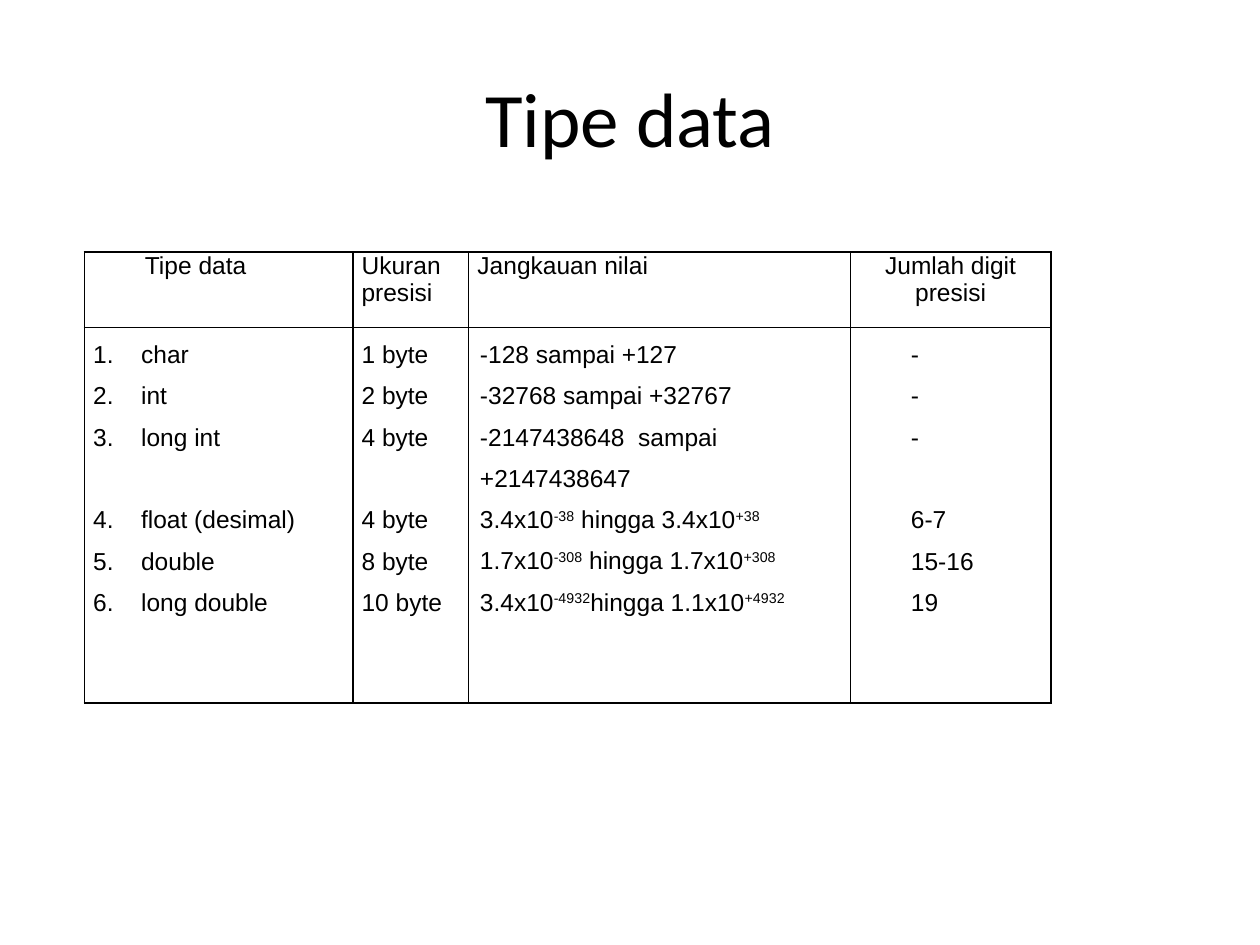
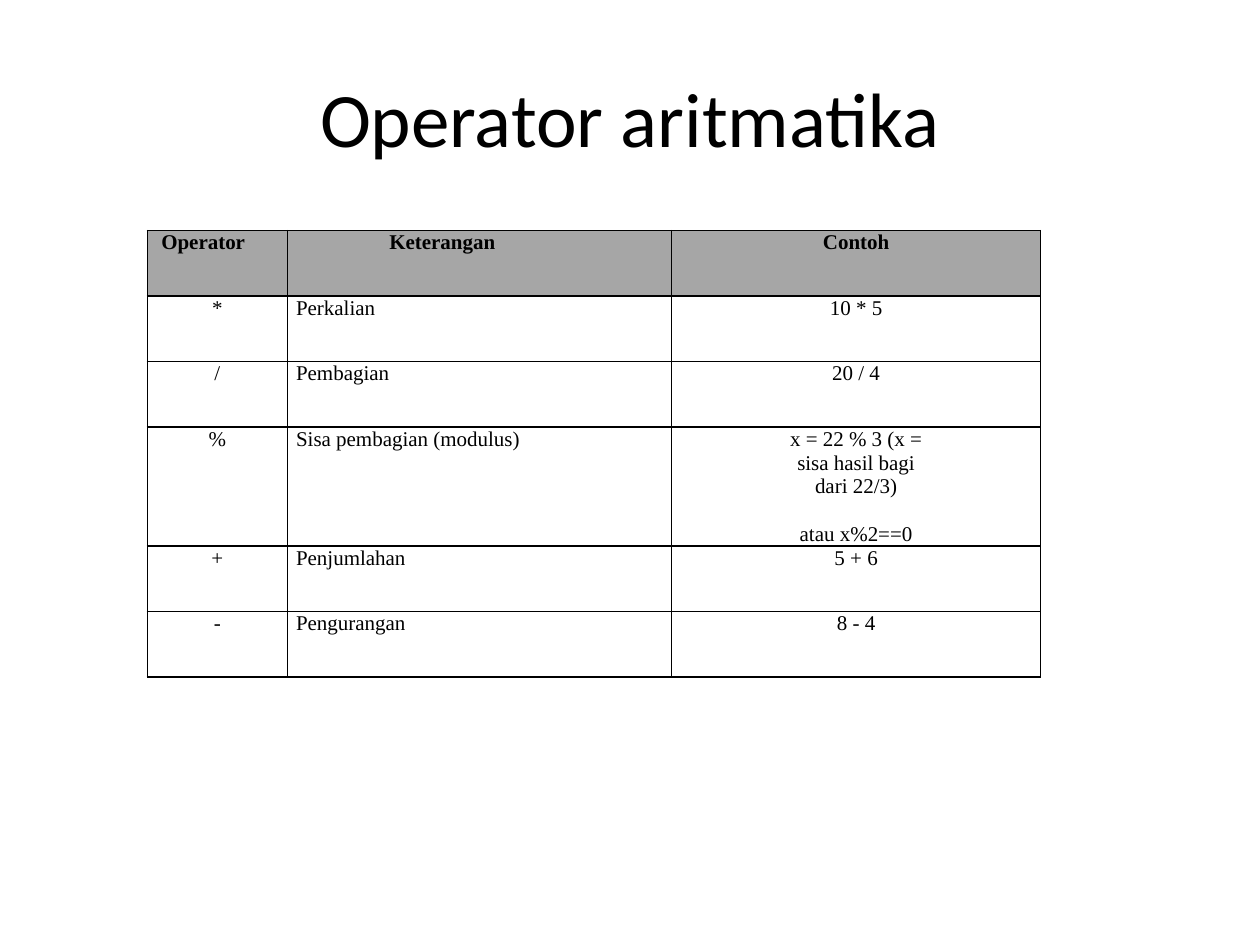
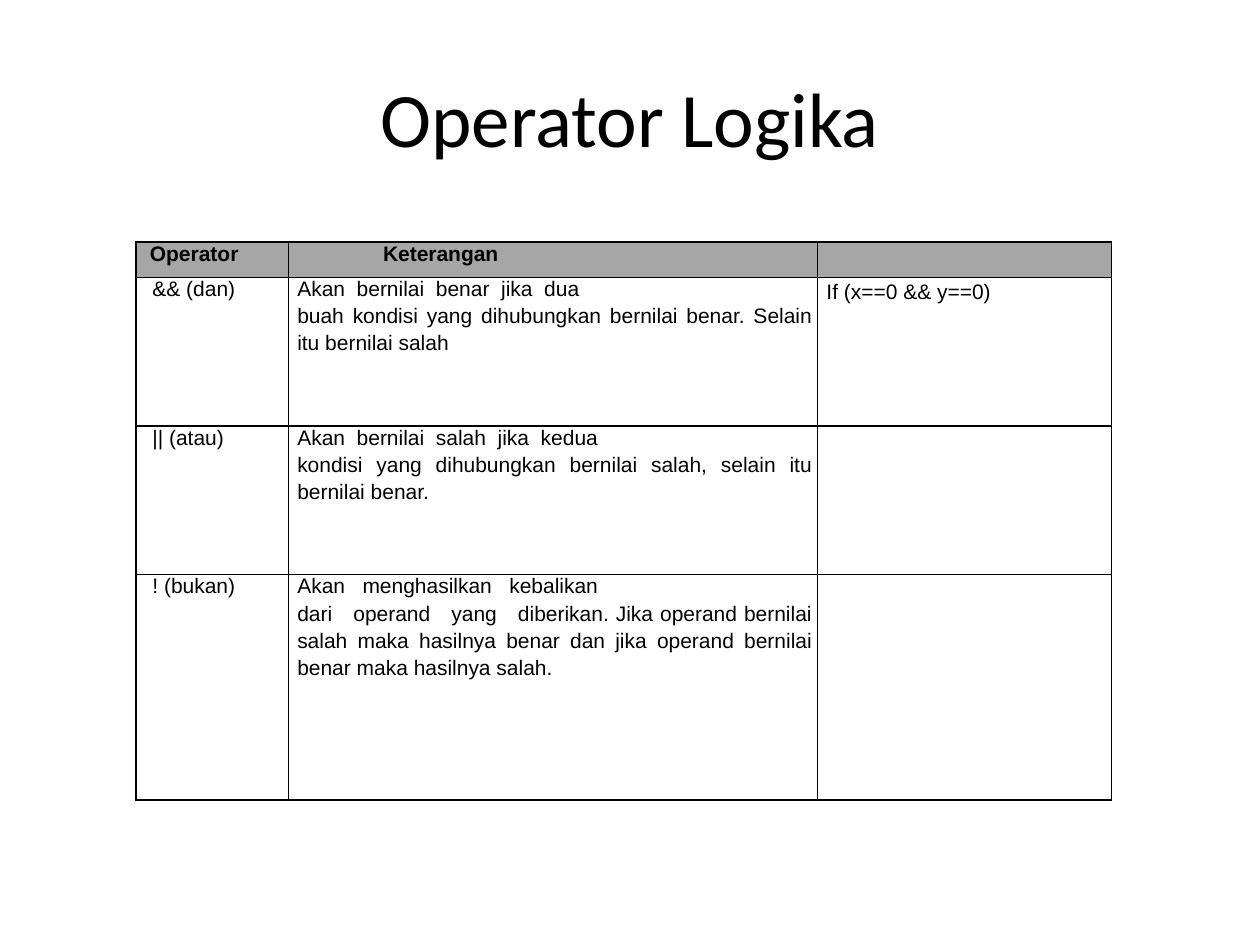
from lxml import etree
from pptx import Presentation
from pptx.dml.color import RGBColor
from pptx.enum.text import MSO_ANCHOR, PP_ALIGN
from pptx.oxml.ns import qn
from pptx.util import Inches, Pt

LEFT, CENTER, JUSTIFY = PP_ALIGN.LEFT, PP_ALIGN.CENTER, PP_ALIGN.JUSTIFY
TOP, MIDDLE = MSO_ANCHOR.TOP, MSO_ANCHOR.MIDDLE

COLORS = {"ink": "000000", "header": "A6A6A6"}
TITLE_ONLY = 5
BORDER_WIDTH = Pt(1)
HEAD_LINE, BODY_LINE = Pt(13.7), Pt(13.6)
LIST_LINE = 23.6  # height in points of a 14 pt line spaced at 1.5


def write(paragraph, text, font="Arial", size=12, bold=False, align=LEFT,
          line=None, before=0, hang=0, number=None):
    """Write text into a paragraph; parts between ^ marks are superscript."""
    paragraph.alignment = align
    paragraph.line_spacing = line
    paragraph.space_before = Pt(before)
    for index, part in enumerate(text.split("^")):
        run = paragraph.add_run()
        run.text = part
        run.font.name = font
        run.font.size = Pt(size)
        run.font.bold = bold
        run.font.color.rgb = RGBColor.from_string(COLORS["ink"])
        if index % 2:
            run.font._element.set("baseline", "30000")
    if number:
        properties = paragraph._p.get_or_add_pPr()
        properties.set("marL", str(Inches(hang)))
        properties.set("indent", str(-Inches(hang)))
        etree.SubElement(properties, qn("a:buAutoNum"),
                         type="arabicPeriod", startAt=str(number))


def draw_borders(cell):
    properties = cell._tc.get_or_add_tcPr()
    for index, side in enumerate(("lnL", "lnR", "lnT", "lnB")):
        border = etree.Element(qn(f"a:{side}"), w=str(BORDER_WIDTH))
        fill = etree.SubElement(border, qn("a:solidFill"))
        etree.SubElement(fill, qn("a:srgbClr"), val=COLORS["ink"])
        properties.insert(index, border)


def fill_cell(cell, content, fill=None, left=0.07, right=0.0, **style):
    """Content is a text or a list of texts and (text, format) pairs."""
    cell.margin_left, cell.margin_right = Inches(left), Inches(right)
    cell.margin_top = cell.margin_bottom = 0
    cell.vertical_anchor = TOP
    if fill:
        cell.fill.solid()
        cell.fill.fore_color.rgb = RGBColor.from_string(COLORS[fill])
    else:
        cell.fill.background()
    draw_borders(cell)
    frame = cell.text_frame
    frame.word_wrap = True
    entries = content if isinstance(content, list) else [content]
    for index, entry in enumerate(entries):
        text, extra = entry if isinstance(entry, tuple) else (entry, {})
        paragraph = frame.add_paragraph() if index else frame.paragraphs[0]
        write(paragraph, text, **{**style, **extra})


def add_titled_slide(prs, title):
    slide = prs.slides.add_slide(prs.slide_layouts[TITLE_ONLY])
    heading = slide.shapes.title
    heading.left, heading.top = Inches(0.5), Inches(0.3)
    heading.width, heading.height = Inches(9), Inches(1.25)
    heading.text_frame.vertical_anchor = MIDDLE
    write(heading.text_frame.paragraphs[0], title,
          font="Calibri", size=44, align=CENTER)
    return slide


def add_grid(slide, left, top, widths, heights, rows, head, body, **common):
    """Add a table; head and body hold one format per column."""
    table = slide.shapes.add_table(
        len(heights), len(widths), Inches(left), Inches(top),
        Inches(sum(widths)), Inches(sum(heights))).table
    table.first_row = table.horz_banding = False
    for column, width in zip(table.columns, widths):
        column.width = Inches(width)
    for row, height in zip(table.rows, heights):
        row.height = Inches(height)
    for r, contents in enumerate(rows):
        formats = body if r else head
        for c, content in enumerate(contents):
            fill_cell(table.cell(r, c), content, **{**common, **formats[c]})


def shaded_head(*lefts):
    return [dict(fill="header", bold=True, line=HEAD_LINE, left=left)
            for left in lefts]


def build_data_types(prs):
    slide = add_titled_slide(prs, "Tipe data")
    names = ["char", "int", "long int", "float (desimal)", "double", "long double"]
    sizes = ["1 byte", "2 byte", "4 byte", "4 byte", "8 byte", "10 byte"]
    ranges = ["-128 sampai +127", "-32768 sampai +32767",
              "-2147438648  sampai +2147438647",
              "3.4x10^-38^ hingga 3.4x10^+38",
              "1.7x10^-308^ hingga 1.7x10^+308",
              "3.4x10^-4932^hingga 1.1x10^+4932"]
    digits = ["-", "-", "-", "6-7", "15-16", "19"]

    def skip_line(index):
        # The range of long int takes two lines
        return LIST_LINE if index == 3 else 0

    def spaced(texts):
        return [(text, dict(before=skip_line(i))) for i, text in enumerate(texts)]

    numbered = [(text, dict(extra, number=i, hang=0.38))
                for i, (text, extra) in enumerate(spaced(names), 1)]
    rows = [["Tipe data", "Ukuran presisi", "Jangkauan nilai", "Jumlah digit presisi"],
            [numbered, spaced(sizes), ranges, spaced(digits)]]
    head = [dict(left=0.48), {}, {}, dict(align=CENTER)]
    body = [dict(line=1.5), dict(line=1.5),
            dict(line=1.5, left=0.09, align=LEFT), dict(line=1.5, left=0.48)]
    add_grid(slide, 0.67, 2, [2.13, 0.92, 3.03, 1.59], [0.6, 2.98],
             rows, head, body, size=14, align=JUSTIFY, right=0.07)


def build_arithmetic(prs):
    slide = add_titled_slide(prs, "Operator aritmatika")
    modulus = ["x = 22 % 3 (x = sisa hasil bagi dari 22/3)",
               ("atau x%2==0", dict(before=BODY_LINE.pt))]
    rows = [["Operator", "Keterangan", "Contoh"],
            ["*", "Perkalian", "10 * 5"],
            ["/", "Pembagian", "20 / 4"],
            ["%", "Sisa pembagian (modulus)", modulus],
            ["+", "Penjumlahan", "5 + 6"],
            ["-", "Pengurangan", "8 - 4"]]
    example = dict(align=CENTER, left=0.92, right=0.92)
    head = shaded_head(0.11, 0.81, 0)
    head[2].update(example)
    body = [dict(align=CENTER, left=0), {}, example]
    add_grid(slide, 1.17, 1.83, [1.11, 3.05, 2.93],
             [0.52, 0.52, 0.52, 0.94, 0.52, 0.52], rows, head,
             [dict(line=BODY_LINE, **column) for column in body],
             font="Times New Roman")


def build_logic(prs):
    slide = add_titled_slide(prs, "Operator Logika")

    def meaning(opening, rest):
        return [opening, (rest, dict(line=1.15))]

    rows = [["Operator", "Keterangan", ""],
            ["&& (dan)",
             meaning("Akan  bernilai  benar  jika  dua",
                     "buah kondisi yang dihubungkan bernilai benar. "
                     "Selain itu bernilai salah"),
             "If (x==0 && y==0)"],
            ["|| (atau)",
             meaning("Akan  bernilai  salah  jika  kedua",
                     "kondisi yang dihubungkan bernilai salah, "
                     "selain itu bernilai benar."),
             ""],
            ["! (bukan)",
             meaning("Akan   menghasilkan   kebalikan",
                     "dari   operand   yang   diberikan. Jika operand bernilai "
                     "salah maka hasilnya benar dan jika operand bernilai "
                     "benar maka hasilnya salah."),
             ""]]
    body = [dict(line=BODY_LINE, left=0.13),
            dict(line=BODY_LINE, align=JUSTIFY, right=0.04),
            dict(line=1.15, align=JUSTIFY)]
    add_grid(slide, 1.08, 1.92, [1.21, 4.2, 2.33], [0.26, 1.18, 1.18, 1.79],
             rows, shaded_head(0.11, 0.75, 0.07), body)


def main():
    prs = Presentation()
    prs.slide_width, prs.slide_height = Inches(10), Inches(7.5)
    build_data_types(prs)
    build_arithmetic(prs)
    build_logic(prs)
    prs.save("out.pptx")


if __name__ == "__main__":
    main()
